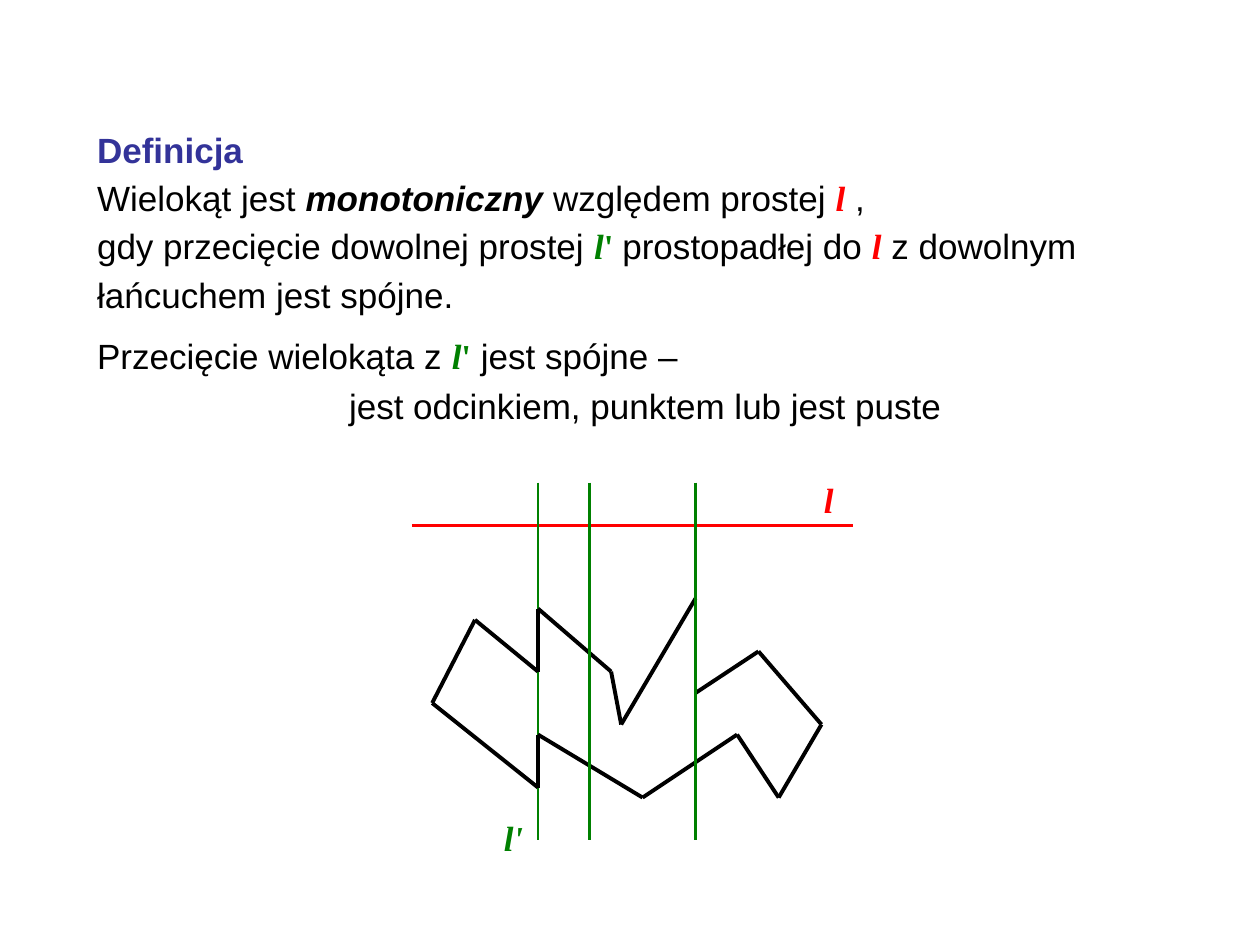
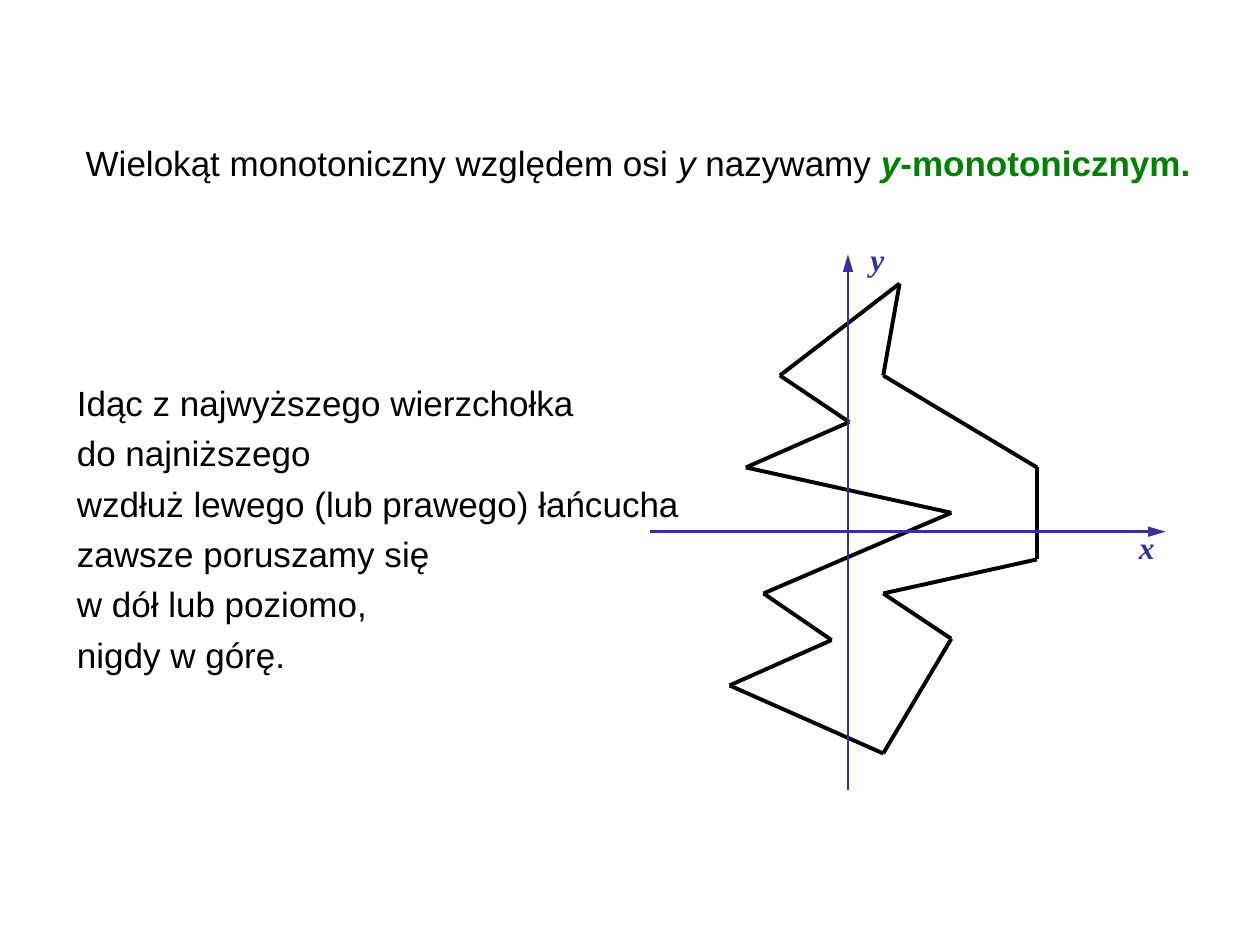
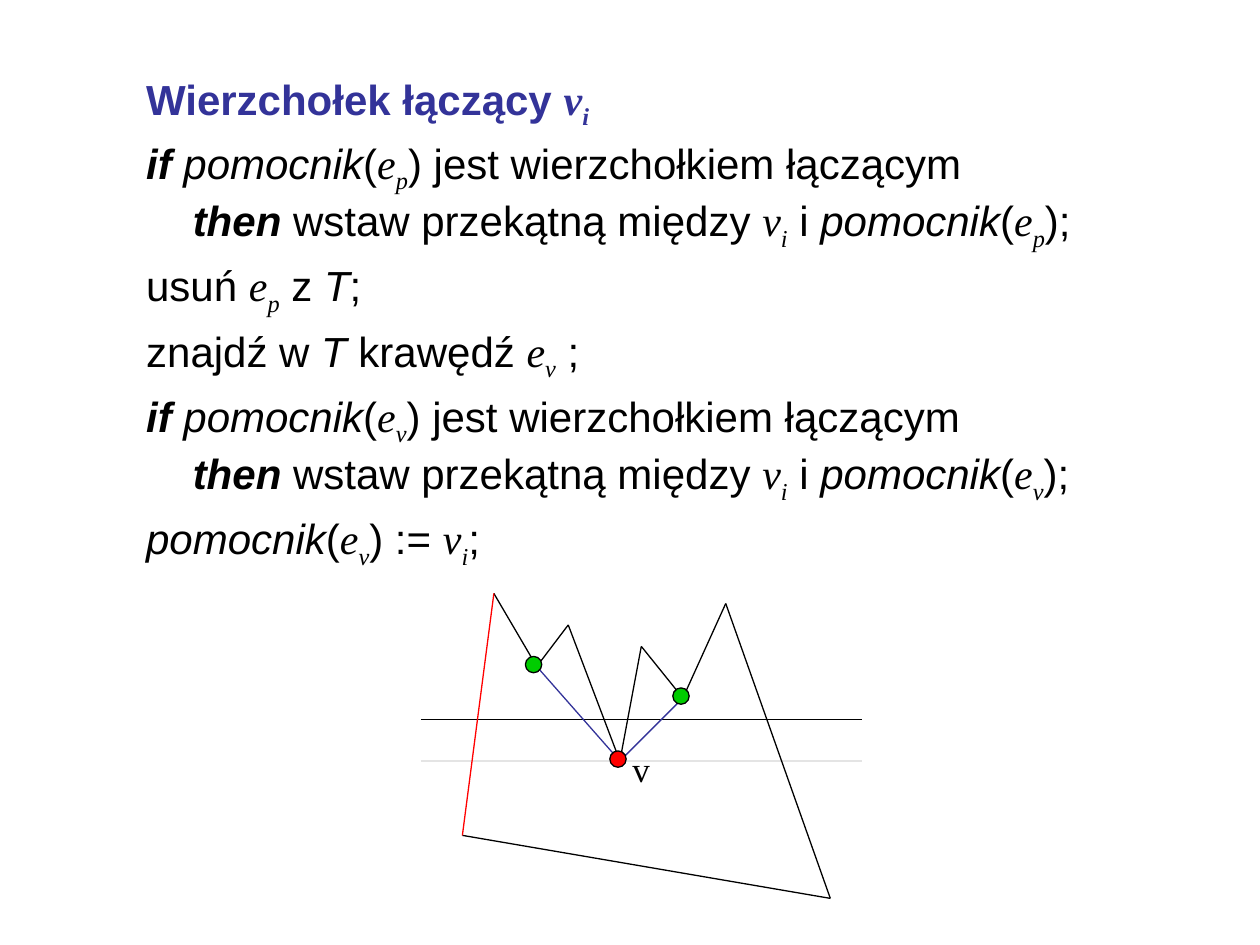
import pptx
import pptx.dml.color
import pptx.enum.shapes
import pptx.enum.text
import pptx.oxml.ns
import pptx.util
from lxml import etree

Inches = pptx.util.Inches
Pt = pptx.util.Pt


class Theme:
    SANS, SERIF = "Arial", "Times New Roman"
    BLACK, NAVY, RED = "000000", "333399", "FF0000"
    GREEN, LIME, PALE = "008000", "00CC00", "E4E4E4"
    AXIS_LABEL, TEXT, CODE = 18, 20, 24
    THIN, MEDIUM, THICK = 0.75, 1.5, 2.25
    # Run styles: font, colour, bold, italic, baseline shift in percent
    STYLES = {
        "plain": (SANS, BLACK, False, False, 0),
        "italic": (SANS, BLACK, False, True, 0),
        "keyword": (SANS, BLACK, True, True, 0),
        "heading": (SANS, NAVY, True, False, 0),
        "term": (SANS, GREEN, True, False, 0),
        "term italic": (SANS, GREEN, True, True, 0),
        "line": (SERIF, RED, True, True, 0),
        "normal": (SERIF, GREEN, True, True, 0),
        "prime": (SERIF, GREEN, True, False, 0),
        "axis": (SERIF, NAVY, True, True, 0),
        "axis sub": (SERIF, NAVY, True, True, -25),
        "upright": (SERIF, BLACK, False, False, 0),
        "math": (SERIF, BLACK, False, True, 0),
        "sub": (SERIF, BLACK, False, True, -25),
    }


# ---- Content: a paragraph is (runs, space before in pt, indent in inches) ----
DEFINITION_TITLE = [([("Definicja", "heading")], 0, 0)]
DEFINITION = [
    ([("Wielokąt jest ", "plain"), ("monotoniczny ", "keyword"),
      ("względem prostej ", "plain"), ("l", "line"), (" ,", "plain")], 0, 0),
    ([("gdy przecięcie dowolnej prostej ", "plain"), ("l", "normal"), ("' ", "prime"),
      ("prostopadłej do ", "plain"), ("l", "line"),
      (" z dowolnym łańcuchem jest spójne.", "plain")], 0, 0),
    ([("Przecięcie wielokąta z ", "plain"), ("l", "normal"), ("'", "prime"),
      (" jest spójne –", "plain")], 7.5, 0),
    ([("jest odcinkiem, punktem lub jest puste", "plain")], 1.2, 2),
]

Y_MONOTONE_TITLE = [
    ([("Wielokąt monotoniczny względem osi ", "plain"), ("y", "italic"),
      (" nazywamy ", "plain"), ("y", "term italic"), ("-monotonicznym.", "term")], 0, 0),
]
Y_MONOTONE = [([(row, "plain")], 0, 0) for row in (
    "Idąc z najwyższego wierzchołka",
    "do najniższego",
    "wzdłuż lewego (lub prawego) łańcucha",
    "zawsze poruszamy się",
    "w dół lub poziomo,",
    "nigdy w górę.",
)]

V_I = [("v", "math"), ("i", "sub")]


def edge(index):
    return [("e", "math"), (index, "sub")]


def helper(index):
    return [("pomocnik", "italic"), ("(", "plain"), *edge(index)]


def merge_check(index):
    return [
        ([("if ", "keyword"), *helper(index),
          (") jest wierzchołkiem łączącym", "plain")], 4.5, 0),
        ([("then", "keyword"), (" wstaw przekątną między ", "plain"), *V_I,
          (" i ", "plain"), *helper(index), (");", "plain")], 0, 0.37),
    ]


MERGE_TITLE = [([("Wierzchołek łączący ", "heading"), ("v", "axis"), ("i", "axis sub")], 0, 0)]
MERGE_STEPS = [
    *merge_check("p"),
    ([("usuń ", "plain"), *edge("p"), (" z ", "plain"), ("T", "italic"), (";", "plain")], 4.5, 0),
    ([("znajdź w ", "plain"), ("T", "italic"), (" krawędź ", "plain"), *edge("v"),
      (" ;", "plain")], 4.5, 0),
    *merge_check("v"),
    ([*helper("v"), (") := ", "plain"), *V_I, (";", "plain")], 4.5, 0),
]

# ---- Geometry in inches: chains of vertices ----
UPPER_CHAIN = [(3.43, 5.58), (3.77, 4.92), (4.27, 5.33), (4.27, 4.83), (4.85, 5.33),
               (4.93, 5.75), (5.52, 4.75), (5.52, 5.5), (6.02, 5.17), (6.52, 5.75)]
LOWER_CHAIN = [(3.43, 5.58), (4.27, 6.25), (4.27, 5.83), (5.1, 6.33), (5.85, 5.83),
               (6.18, 6.33), (6.52, 5.75)]
NORMAL_BEHIND, *NORMALS_IN_FRONT = [[(x, 3.83), (x, 6.67)] for x in (4.27, 4.68, 5.52)]

LEFT_CHAIN = [(7.01, 5.98), (5.79, 5.44), (6.6, 5.08), (6.06, 4.71), (7.55, 4.07),
              (5.92, 3.71), (6.74, 3.35), (6.19, 2.98), (7.14, 2.25)]
RIGHT_CHAIN = [(7.01, 5.98), (7.55, 5.07), (7.01, 4.71), (8.23, 4.44), (8.23, 3.71),
               (7.01, 2.98), (7.14, 2.25)]

MERGE_VERTEX, LEFT_HELPER, RIGHT_HELPER = (4.92, 6.04), (4.26, 5.29), (5.42, 5.54)
TOP_LEFT, BOTTOM_LEFT = (3.92, 4.71), (3.67, 6.63)
MERGE_OUTLINE = [TOP_LEFT, LEFT_HELPER, (4.51, 4.96), MERGE_VERTEX, (5.09, 5.13),
                 RIGHT_HELPER, (5.76, 4.79), (6.59, 7.13), BOTTOM_LEFT]
MARKERS = [((5.34, 5.46), Theme.LIME), ((4.17, 5.21), Theme.LIME), ((4.84, 5.96), Theme.RED)]
MARKER_SIZE = 0.13


# ---- Drawing helpers ----
def rgb(colour):
    return pptx.dml.color.RGBColor.from_string(colour)


def write(frame, paragraphs, size, spacing=None, wrap=True):
    frame.word_wrap = wrap
    frame.auto_size = pptx.enum.text.MSO_AUTO_SIZE.SHAPE_TO_FIT_TEXT
    frame.vertical_anchor = pptx.enum.text.MSO_ANCHOR.TOP
    for number, (runs, before, indent) in enumerate(paragraphs):
        paragraph = frame.add_paragraph() if number else frame.paragraphs[0]
        paragraph.alignment = pptx.enum.text.PP_ALIGN.LEFT
        paragraph.space_before = Pt(before if number else 0)
        if spacing:
            paragraph.line_spacing = spacing
        properties = paragraph._p.get_or_add_pPr()
        properties.set("marL", str(Inches(indent)))
        properties.set("indent", "0")
        etree.SubElement(properties, pptx.oxml.ns.qn("a:buNone"))
        paragraph.font.size = Pt(size)
        for text, style in runs:
            run = paragraph.add_run()
            run.text = text
            name, colour, bold, italic, shift = Theme.STYLES[style]
            run.font.name, run.font.bold, run.font.italic = name, bold, italic
            run.font.color.rgb = rgb(colour)
            if shift:
                run._r.get_or_add_rPr().set("baseline", str(shift * 1000))


def place(placeholder, box, paragraphs, size, **options):
    (placeholder.left, placeholder.top,
     placeholder.width, placeholder.height) = map(Inches, box)
    write(placeholder.text_frame, paragraphs, size, **options)


def label(slide, box, runs, size):
    caption = slide.shapes.add_textbox(*map(Inches, box))
    write(caption.text_frame, [(runs, 0, 0)], size, wrap=False)


def chain(slide, points, colour, width, arrow=False):
    for start, end in zip(points, points[1:]):
        segment = slide.shapes.add_connector(
            pptx.enum.shapes.MSO_CONNECTOR.STRAIGHT, *map(Inches, start + end))
        segment.line.color.rgb = rgb(colour)
        segment.line.width = Pt(width)
        if arrow:
            etree.SubElement(segment.line._get_or_add_ln(),
                             pptx.oxml.ns.qn("a:tailEnd"), type="triangle", len="lg")
        etree.SubElement(segment._element.spPr, pptx.oxml.ns.qn("a:effectLst"))


def marker(slide, corner, colour):
    dot = slide.shapes.add_shape(pptx.enum.shapes.MSO_SHAPE.OVAL,
                                 *map(Inches, corner + (MARKER_SIZE, MARKER_SIZE)))
    dot.shadow.inherit = False
    dot.fill.solid()
    dot.fill.fore_color.rgb = rgb(colour)
    dot.line.color.rgb = rgb(Theme.BLACK)
    dot.line.width = Pt(Theme.THIN)


# ---- Slides ----
def add_slide(deck):
    slide = deck.slides.add_slide(deck.slide_layouts[1])
    return slide, slide.shapes.title, slide.placeholders[1]


def definition_slide(deck):
    slide, title, body = add_slide(deck)
    place(title, (0.67, 0.92, 8.51, 0.44), DEFINITION_TITLE, Theme.TEXT, spacing=1.15)
    place(body, (0.67, 1.3, 8.51, 2.15), DEFINITION, Theme.TEXT, spacing=1.15)
    chain(slide, [(3.27, 4.17), (6.77, 4.17)], Theme.RED, Theme.MEDIUM)
    chain(slide, NORMAL_BEHIND, Theme.GREEN, Theme.MEDIUM)
    for outline in (UPPER_CHAIN, LOWER_CHAIN):
        chain(slide, outline, Theme.BLACK, Theme.THICK)
    for normal in NORMALS_IN_FRONT:
        chain(slide, normal, Theme.GREEN, Theme.MEDIUM)
    label(slide, (6.44, 3.75, 0.27, 0.44), [("l", "line")], Theme.TEXT)
    label(slide, (3.9, 6.43, 0.4, 0.44), [("l'", "normal")], Theme.TEXT)


def y_monotone_slide(deck):
    slide, title, body = add_slide(deck)
    place(title, (0.58, 1.07, 8.97, 0.44), Y_MONOTONE_TITLE, Theme.TEXT, wrap=False)
    place(body, (0.51, 2.91, 5.1, 2.5), Y_MONOTONE, Theme.TEXT, spacing=1.2)
    for outline in (LEFT_CHAIN, RIGHT_CHAIN):
        chain(slide, outline, Theme.BLACK, Theme.THICK)
    for axis in ([(6.73, 6.27), (6.73, 2.02)], [(5.16, 4.22), (9.25, 4.22)]):
        chain(slide, axis, Theme.NAVY, Theme.MEDIUM, arrow=True)
    label(slide, (6.81, 1.86, 0.31, 0.4), [("y", "axis")], Theme.AXIS_LABEL)
    label(slide, (8.94, 4.14, 0.32, 0.4), [("x", "axis")], Theme.AXIS_LABEL)


def merge_vertex_slide(deck):
    slide, title, body = add_slide(deck)
    place(title, (1.06, 0.53, 8.51, 0.52), MERGE_TITLE, Theme.CODE)
    place(body, (1.06, 1.04, 8.51, 3.54), MERGE_STEPS, Theme.CODE)
    for y, colour in ((5.71, Theme.BLACK), (6.04, Theme.PALE)):
        chain(slide, [(3.34, y), (6.84, y)], colour, Theme.THIN)
    chain(slide, MERGE_OUTLINE, Theme.BLACK, Theme.THIN)
    chain(slide, [BOTTOM_LEFT, TOP_LEFT], Theme.RED, Theme.THIN)
    chain(slide, [LEFT_HELPER, MERGE_VERTEX, RIGHT_HELPER], Theme.NAVY, Theme.THIN)
    for corner, colour in MARKERS:
        marker(slide, corner, colour)
    label(slide, (4.92, 5.88, 0.34, 0.44), [("v", "upright")], Theme.TEXT)


def main():
    deck = pptx.Presentation()
    deck.slide_width, deck.slide_height = Inches(10), Inches(7.5)
    definition_slide(deck)
    y_monotone_slide(deck)
    merge_vertex_slide(deck)
    deck.save("out.pptx")


if __name__ == "__main__":
    main()
